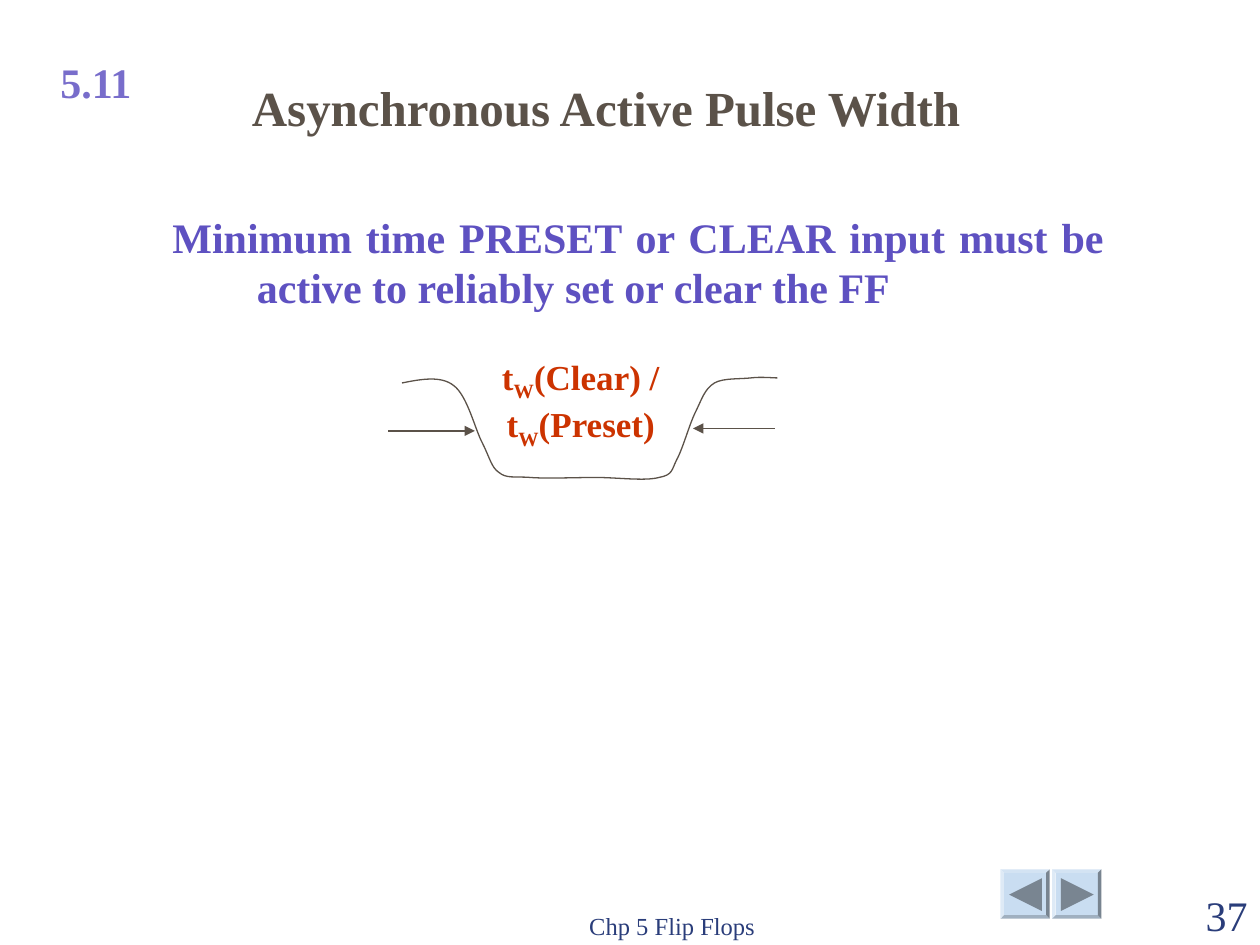
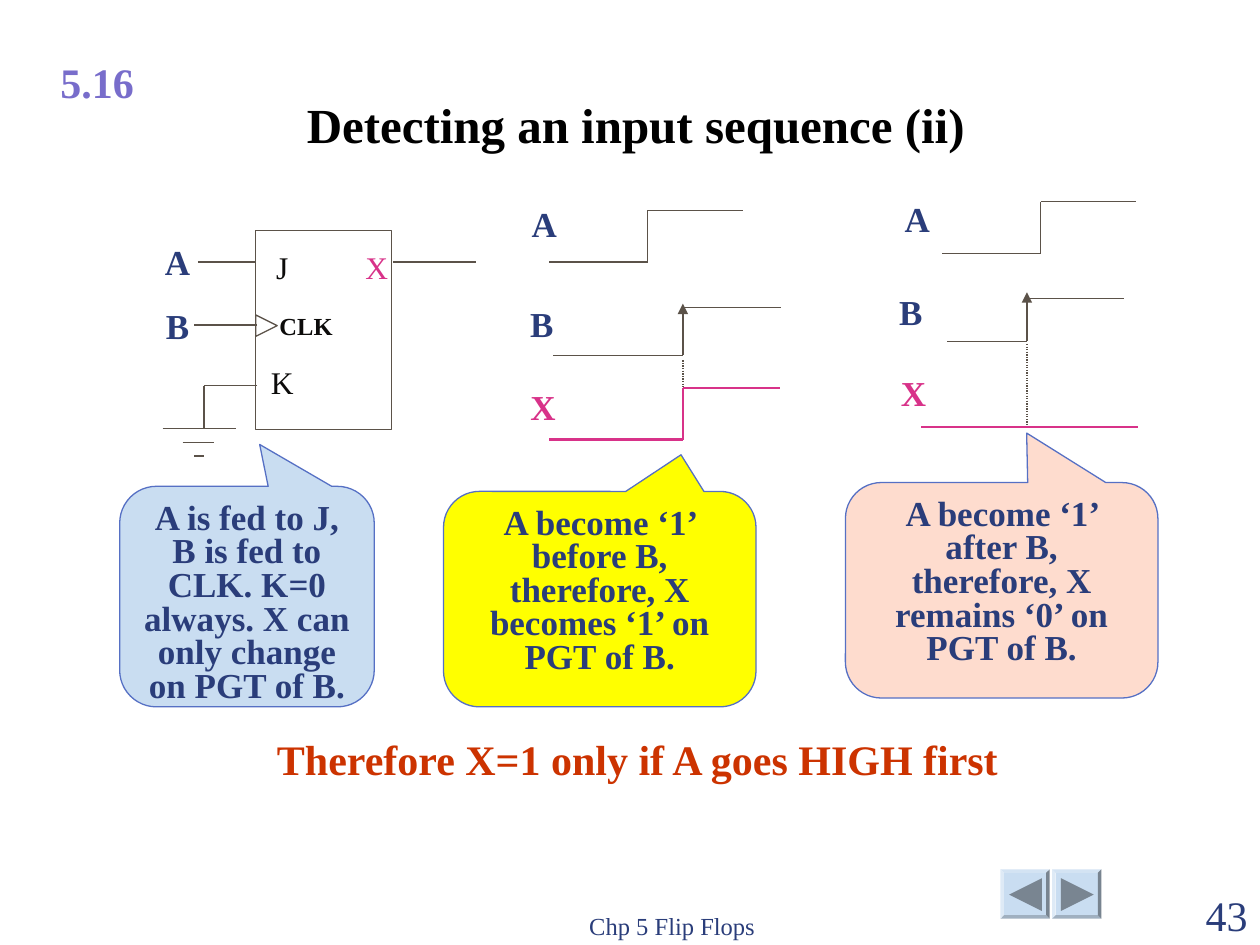
"""Builds two slides on flip-flop timing."""
import pptx
import pptx.chart.data
import pptx.dml.color
import pptx.enum.dml
import pptx.enum.shapes
import pptx.enum.text
import pptx.oxml
import pptx.oxml.ns
import pptx.util
from lxml import etree

PX = 9144
FONT = "Times New Roman"
BROWN, NAVY, PINK, RED = "5B5249", "2A3D7A", "D83289", "CC3300"
VIOLET, LILAC, BLACK, INK = "5E51C1", "786DCB", "000000", "0C0B0A"
WHITE, SKY, SLATE, BLUE = "FFFFFF", "C9DDF1", "798591", "5670C4"
SHAPE = pptx.enum.shapes.MSO_SHAPE
ALIGN = pptx.enum.text.PP_ALIGN
ANCHOR = pptx.enum.text.MSO_ANCHOR


def px(*lengths):
    """Turn px lengths into EMU."""
    return [length * PX for length in lengths]


def rgb(code):
    """Turn a hex string into a colour."""
    return pptx.dml.color.RGBColor.from_string(code)


def style_run(run, size, color, bold):
    """Set the font of one run."""
    run.font.name = FONT
    run.font.size = pptx.util.Pt(size)
    run.font.bold = bold
    run.font.color.rgb = rgb(color)


def write(frame, text, size, color, bold=True, align=ALIGN.CENTER,
          anchor=ANCHOR.TOP, wrap=True, gap=0, spacing=None):
    """Fill a text frame with evenly styled paragraphs."""
    frame.text = text
    frame.word_wrap = wrap
    frame.vertical_anchor = anchor
    for index, paragraph in enumerate(frame.paragraphs):
        paragraph.alignment = align
        if spacing:
            paragraph.line_spacing = spacing
        if index:
            paragraph.space_before = pptx.util.Pt(gap)
        for run in paragraph.runs:
            style_run(run, size, color, bold)


def add_text(slide, box, text, size, color, **options):
    """Add a text box and return its frame."""
    frame = slide.shapes.add_textbox(*px(*box)).text_frame
    write(frame, text, size, color, **options)
    return frame


def add_shape(slide, kind, box, fill, line=None, rotation=0):
    """Add a flat preset shape."""
    shape = slide.shapes.add_shape(kind, *px(*box))
    shape.shadow.inherit = False
    shape.rotation = rotation
    shape.fill.solid()
    shape.fill.fore_color.rgb = rgb(fill)
    if line:
        shape.line.color.rgb = rgb(line)
        shape.line.width = pptx.util.Pt(0.75)
    else:
        shape.line.fill.background()
    return shape


def add_line(slide, ends, color=BROWN, width=0.75, arrow=False, dotted=False):
    """Add a straight line, with an arrowhead at its end if wanted."""
    line = slide.shapes.add_connector(
        pptx.enum.shapes.MSO_CONNECTOR.STRAIGHT, *px(*ends))
    line.line.color.rgb = rgb(color)
    line.line.width = pptx.util.Pt(width)
    if dotted:
        line.line.dash_style = pptx.enum.dml.MSO_LINE.ROUND_DOT
    properties = line.element.spPr
    if arrow:
        etree.SubElement(properties.find(pptx.oxml.ns.qn("a:ln")),
                         pptx.oxml.ns.qn("a:tailEnd"), type="triangle")
    etree.SubElement(properties, pptx.oxml.ns.qn("a:effectLst"))


def add_curve(slide, left, top, start, points):
    """Draw a smooth line; every three points make one Bezier segment."""
    builder = slide.shapes.build_freeform(*start, scale=PX)
    builder.add_line_segments(points, close=False)
    curve = builder.convert_to_shape(*px(left, top))
    curve.shadow.inherit = False
    curve.fill.background()
    curve.line.color.rgb = rgb(BROWN)
    curve.line.width = pptx.util.Pt(0.75)
    outline = next(curve.element.iter(pptx.oxml.ns.qn("a:path")))
    corners = outline.findall(pptx.oxml.ns.qn("a:lnTo"))
    for first in range(0, len(corners), 3):
        bezier = etree.SubElement(outline, pptx.oxml.ns.qn("a:cubicBezTo"))
        for corner in corners[first:first + 3]:
            bezier.append(corner[0])
            outline.remove(corner)


def add_nav_button(slide, left, top, rotation):
    """Draw a bevelled button with a turned triangle."""
    bevel = add_shape(slide, SHAPE.BEVEL, (left, top, 39, 39), SKY)
    bevel.adjustments[0] = 0.07
    add_shape(slide, SHAPE.ISOSCELES_TRIANGLE, (left + 7, top + 7, 26, 26),
              SLATE, rotation=rotation)


def add_frame(deck, section, number):
    """Add a slide with section number, buttons and footer."""
    slide = deck.slides.add_slide(deck.slide_layouts[6])
    for left, rotation in ((794, 270), (835, 90)):
        add_nav_button(slide, left, 690, rotation)
    add_text(slide, (38, 40, 78, 50), section, 24, LILAC,
             align=ALIGN.LEFT, wrap=False)
    add_text(slide, (375, 701, 317, 50), "Chp 5 Flip Flops", 14, NAVY,
             bold=False, anchor=ANCHOR.BOTTOM)
    add_text(slide, (900, 701, 100, 50), number, 24, NAVY, bold=False,
             align=ALIGN.RIGHT, anchor=ANCHOR.BOTTOM)
    return slide


def add_pulse(slide, left, top):
    """Draw the low pulse with its width arrows and label."""
    add_curve(slide, left + 11, top + 21, (0, 6), [
        (15, 3), (31, 0), (41, 8), (52, 16), (58, 43), (64, 54),
        (70, 66), (71, 73), (77, 77), (83, 82), (89, 80), (102, 81),
        (115, 82), (137, 81), (154, 81), (171, 81), (193, 84), (204, 81),
        (215, 79), (214, 75), (218, 67), (223, 58), (228, 39), (233, 29),
        (238, 19), (240, 11), (248, 6), (255, 2), (268, 3), (277, 2),
        (285, 1), (294, 2), (298, 2)])
    for start, end, level in ((0, 69, 65), (307, 242, 63)):
        add_line(slide, (left + start, top + level, left + end, top + level),
                 arrow=True)
    label = add_text(slide, (left + 75, top, 156, 86), "", 20, RED)
    paragraph = label.paragraphs[0]
    for text in ("t", "W", "(Clear) / t", "W", "(Preset)"):
        run = paragraph.add_run()
        run.text = text
        style_run(run, 20, RED, True)
        if text == "W":
            run.font._element.set("baseline", "-25000")


def add_flip_flop(slide, left, top):
    """Draw the flip-flop with its inputs, output and ground."""
    add_shape(slide, SHAPE.RECTANGLE, (left + 74, top, 108, 158), WHITE, BROWN)
    add_shape(slide, SHAPE.ISOSCELES_TRIANGLE, (left + 74, top + 67, 17, 17),
              WHITE, BROWN, rotation=90)
    for pin, x, y, width, color in (("X", 149, 9, 42, PINK), ("J", 74, 9, 42, INK),
                                    ("K", 66, 100, 58, INK)):
        add_text(slide, (left + x, top + y, width, 40), pin, 18, color, bold=False)
    add_text(slide, (left + 83, top + 59, 67, 34), "CLK", 14, INK,
             align=ALIGN.LEFT, wrap=False)
    add_text(slide, (left - 8, top + 3, 40, 94), "A\nB", 20, NAVY,
             wrap=False, gap=12.5)
    for x1, y1, x2, y2 in ((28, 25, 74, 25), (183, 25, 249, 25), (25, 75, 75, 75),
                           (75, 123, 33, 123), (33, 123, 33, 157),
                           (0, 157, 58, 157), (16, 168, 41, 168),
                           (25, 179, 33, 179)):
        add_line(slide, (left + x1, top + y1, left + x2, top + y2))


def add_signal(slide, left, top, name, label, xs, low, high=None, peak=None):
    """Draw a labelled signal; a peak gives the edge an arrowhead."""
    color, width = (PINK, 1.5) if name == "X" else (BROWN, 0.75)
    add_text(slide, (left + label[0], top + label[1], 40, 44), name, 20,
             PINK if name == "X" else NAVY, wrap=False)
    start, edge, end = (left + x for x in xs)
    low += top
    if high is None:
        add_line(slide, (start, low, end, low), color, width)
        return
    high += top
    add_line(slide, (start, low, edge, low), color, width)
    add_line(slide, (edge, low, edge, high if peak is None else top + peak),
             color, width, arrow=peak is not None)
    add_line(slide, (edge, high, end, high), color, width)


def add_timing(slide, left, top, signals, guide):
    """Draw a stack of signals and the dotted guide at the clock edge."""
    x, start, end = guide
    add_line(slide, (left + x, top + start, left + x, top + end), dotted=True)
    for signal in signals:
        add_signal(slide, left, top, *signal)


def add_callout(slide, box, pointer, fill, text):
    """Add a rounded callout whose tip lies at the pointer."""
    callout = add_shape(slide, SHAPE.ROUNDED_RECTANGULAR_CALLOUT, box, fill, BLUE)
    callout.adjustments[0], callout.adjustments[1] = pointer
    write(callout.text_frame, text, 20, NAVY, spacing=0.8)


def build_pulse_width(deck):
    """Build the slide on the asynchronous pulse width."""
    slide = add_frame(deck, "5.11", "37")
    add_text(slide, (188, 57, 586, 57), "Asynchronous Active Pulse Width",
             28, BROWN, wrap=False)
    rule = add_text(slide, (127, 163, 759, 100),
                    "Minimum time PRESET or CLEAR input must be active to "
                    "reliably set or clear the FF", 24, VIOLET,
                    align=ALIGN.JUSTIFY)
    indent = rule.paragraphs[0]._p.get_or_add_pPr()
    indent.set("marL", str(67 * PX))
    indent.set("indent", str(-67 * PX))
    add_pulse(slide, 308, 277)


def build_sequence(deck):
    """Build the slide on detecting an input sequence."""
    slide = add_frame(deck, "5.16", "43")
    add_text(slide, (140, 60, 729, 67), "Detecting an input sequence (ii)",
             28, BLACK, anchor=ANCHOR.BOTTOM)
    add_flip_flop(slide, 129, 183)
    add_timing(slide, 411, 156, (
        ("A", (1, 0), (25, 103, 179), 52, 11),
        ("B", (-1, 79), (28, 131, 209), 126, 88, 85),
        ("X", (0, 145), (25, 131, 208), 193, 152)), (131, 130, 152))
    add_timing(slide, 704, 152, (
        ("A", (4, 0), (44, 122, 198), 49, 8),
        ("B", (-1, 74), (48, 111, 188), 119, 85, 80),
        ("X", (1, 138), (27, 111, 199), 187)), (111, 121, 186))
    for box, pointer, fill, text in (
            ((95, 386, 202, 175), (0.05, -0.69), SKY,
             "A is fed to J, B is fed to CLK. K=0 always. X can only change "
             "on PGT of B."),
            ((352, 390, 248, 171), (0.26, -0.67), "FFFF00",
             "A become ‘1’ before B, therefore, X becomes ‘1’ on PGT of B."),
            ((671, 383, 248, 171), (0.08, -0.73), "FEDCCE",
             "A become ‘1’ after B, therefore, X remains ‘0’ on PGT of B.")):
        add_callout(slide, box, pointer, fill, text)
    add_text(slide, (210, 577, 597, 50), "Therefore X=1 only if A goes HIGH first",
             24, RED, align=ALIGN.LEFT, wrap=False)


def main():
    """Build and save the slides."""
    deck = pptx.Presentation()
    deck.slide_width, deck.slide_height = px(1000, 750)
    build_pulse_width(deck)
    build_sequence(deck)
    deck.save("out.pptx")


if __name__ == "__main__":
    main()
